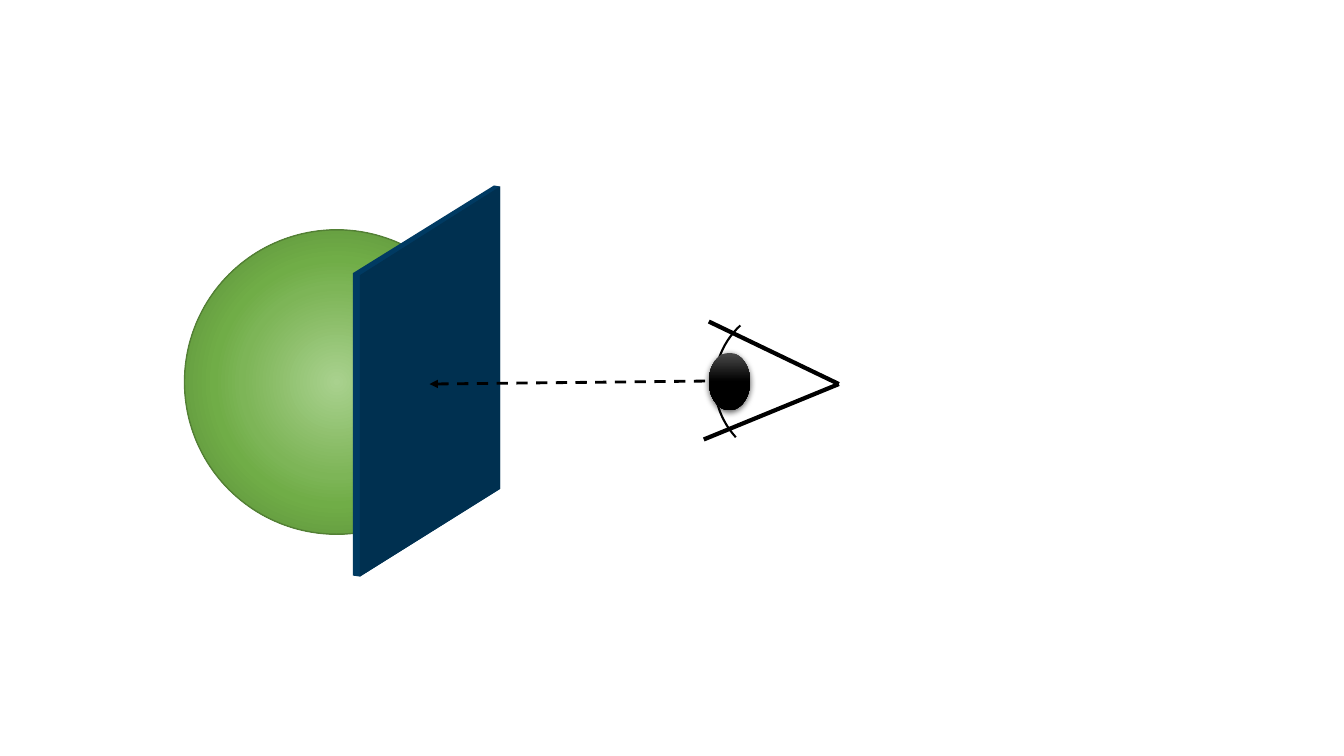
from pptx import Presentation
from pptx.dml.color import RGBColor
from pptx.enum.dml import MSO_LINE
from pptx.enum.shapes import MSO_CONNECTOR, MSO_SHAPE
from pptx.oxml import parse_xml
from pptx.oxml.ns import nsdecls
from pptx.util import Inches, Pt

ELLIPSE, ARC = MSO_SHAPE.OVAL, MSO_SHAPE.ARC
STRAIGHT = MSO_CONNECTOR.STRAIGHT
DASH = MSO_LINE.DASH

BLACK = "000000"
SPHERE_STOPS = [(0, "A9D18E"), (44, "7DB557"), (57, "70AD47"), (100, "548235")]
PUPIL_STOPS = [(0, "4B4B4B"), (50, BLACK), (100, BLACK)]
RADIAL = ('<a:path path="circle">'
          '<a:fillToRect l="50000" t="50000" r="50000" b="50000"/></a:path>')
DOWNWARD = '<a:lin ang="5400000" scaled="0"/>'

# Corners of the panel, in inches
PANEL_OUTLINE = [(3.5, 2.71), (4.9, 1.84), (4.96, 1.85),
                 (4.96, 4.85), (3.57, 5.72), (3.5, 5.71)]
PANEL_FRONT = [(3.57, 2.73), (4.96, 1.85), (4.96, 4.85), (3.57, 5.72)]


def color(hex_string):
    return RGBColor.from_string(hex_string)


def element(tag, attributes="", content=""):
    return parse_xml(f'<a:{tag} {nsdecls("a")} {attributes}>{content}</a:{tag}>')


def set_line(shape, hex_string, width):
    shape.line.color.rgb = color(hex_string)
    shape.line.width = Pt(width)


def add_preset(shapes, kind, left, top, width, height):
    shape = shapes.add_shape(kind, Inches(left), Inches(top),
                             Inches(width), Inches(height))
    shape.shadow.inherit = False
    return shape


def set_gradient(shape, stops, direction):
    """Fill with any number of (percent, colour) stops."""
    stop_list = "".join(
        f'<a:gs pos="{percent * 1000}"><a:srgbClr val="{value}"/></a:gs>'
        for percent, value in stops)
    gradient = element("gradFill", 'rotWithShape="1"',
                       f"<a:gsLst>{stop_list}</a:gsLst>{direction}")
    shape._element.spPr.insert(2, gradient)


def add_line(shapes, start, end, width):
    line = shapes.add_connector(STRAIGHT, *map(Inches, start + end))
    set_line(line, BLACK, width)
    line._element.spPr.append(element("effectLst"))
    return line


def add_polygon(page, points, fill):
    corners = [(x * 100, y * 100) for x, y in points]
    builder = page.shapes.build_freeform(*corners[0], scale=Inches(0.01))
    builder.add_line_segments(corners[1:], close=True)
    polygon = builder.convert_to_shape()
    polygon.shadow.inherit = False
    polygon.fill.solid()
    polygon.fill.fore_color.rgb = color(fill)
    polygon.line.fill.background()


def add_sphere(page):
    sphere = add_preset(page.shapes, ELLIPSE, 1.83, 2.28, 3.02, 3.02)
    set_gradient(sphere, SPHERE_STOPS, RADIAL)
    set_line(sphere, "538035", 1)


def add_eye(page):
    eye = page.shapes.add_group_shape().shapes
    corner = (8.32, 3.81)
    for lid_end in [(7.03, 3.19), (6.98, 4.36)]:
        add_line(eye, lid_end, corner, 3)

    cornea = add_preset(eye, ARC, 7.09, 3.02, 1.57, 1.57)
    cornea.rotation = 227.3
    cornea.fill.background()
    set_line(cornea, BLACK, 1.5)

    pupil = add_preset(eye, ELLIPSE, 7.03, 3.5, 0.41, 0.57)
    set_gradient(pupil, PUPIL_STOPS, DOWNWARD)
    pupil.line.fill.background()
    shadow = element(
        "outerShdw",
        f'blurRad="{Pt(4.5)}" dist="{Pt(1.5)}" dir="5400000" rotWithShape="0"',
        f'<a:srgbClr val="{BLACK}"><a:alpha val="63000"/></a:srgbClr>')
    pupil._element.spPr[-1].append(shadow)


def add_sight_line(page):
    sight = add_line(page.shapes, (4.26, 3.81), (7.03, 3.78), 2)
    sight.line.dash_style = DASH
    sight.line._get_or_add_ln().append(element("headEnd", 'type="triangle"'))


def main():
    deck = Presentation()
    deck.slide_width, deck.slide_height = Inches(13.33), Inches(7.5)
    page = deck.slides.add_slide(deck.slide_layouts[6])
    add_sphere(page)
    add_polygon(page, PANEL_OUTLINE, "003A62")
    add_polygon(page, PANEL_FRONT, "003050")
    add_eye(page)
    add_sight_line(page)
    deck.save("out.pptx")


if __name__ == "__main__":
    main()
